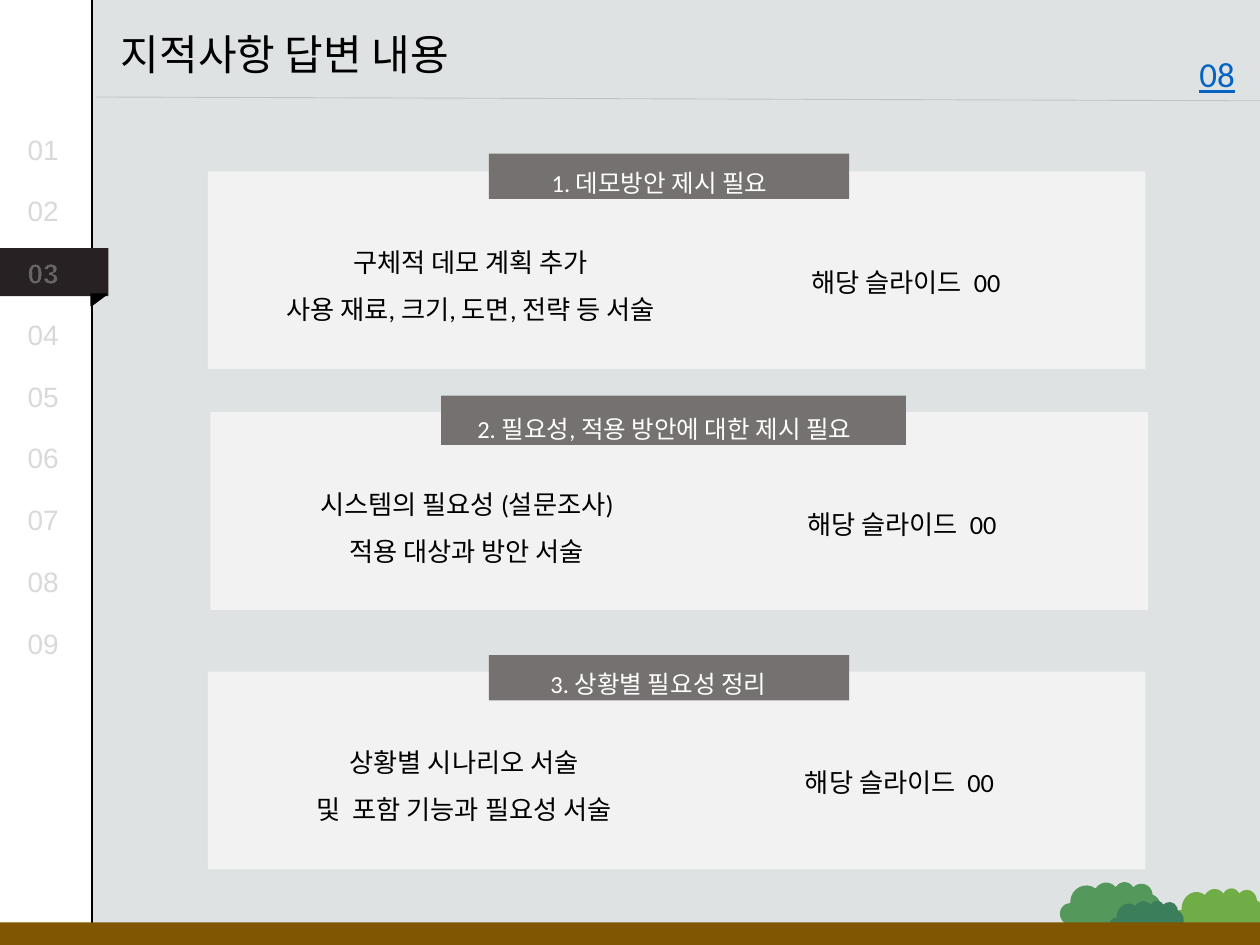
from lxml.etree import SubElement
from pptx import Presentation
from pptx.dml.color import RGBColor
from pptx.enum.shapes import MSO_CONNECTOR, MSO_SHAPE
from pptx.enum.text import MSO_ANCHOR, MSO_AUTO_SIZE, PP_ALIGN
from pptx.oxml.ns import qn
from pptx.util import Inches, Pt

BODY = {"size": Pt(15), "name": "Calibri"}
HEADING = {"size": Pt(14), "name": "Calibri"}
NUMBER = {"size": Pt(16), "name": "Arial"}

# Card corner, heading bar, heading text, heading, details, details corner, reference corner
CARDS = [
    ((1.65, 1.36), (3.88, 1.22, 2.86, 0.36), (4.28, 1.05, 2.06, 0.57),
     "1. 데모방안 제시 필요",
     ["구체적 데모 계획 추가", "사용 재료, 크기, 도면, 전략 등 서술"],
     (1.86, 1.78), (6.34, 1.94)),
    ((1.67, 3.27), (3.5, 3.14, 3.69, 0.39), (3.69, 3, 3.44, 0.57),
     "2. 필요성, 적용 방안에 대한 제시 필요",
     ["시스템의 필요성 (설문조사)", "적용 대상과 방안 서술"],
     (1.83, 3.7), (6.31, 3.86)),
    ((1.65, 5.33), (3.88, 5.2, 2.86, 0.36), (4.27, 5.03, 2.09, 0.57),
     "3. 상황별 필요성 정리",
     ["상황별 시나리오 서술", "및  포함 기능과 필요성 서술"],
     (1.81, 5.75), (6.29, 5.91)),
]


def color(hex_code):
    return RGBColor.from_string(hex_code)


def add_alpha(fill_parent, percent):
    """Make the solid fill inside an XML element partly transparent."""
    tone = fill_parent.find(".//" + qn("a:srgbClr"))
    SubElement(tone, qn("a:alpha"), val=str(percent * 1000))


def add_outline(span):
    """Give the letters a thin, faint outline."""
    properties = span.font._element
    outline = SubElement(properties, qn("a:ln"), w=str(Pt(0.75)))
    properties.insert(0, outline)
    fill = SubElement(outline, qn("a:solidFill"))
    SubElement(fill, qn("a:srgbClr"), val="000000")
    add_alpha(outline, 30)


def add_block(page, kind, box, fill, line=None, rotation=0):
    block = page.shapes.add_shape(kind, *map(Inches, box))
    block.shadow.inherit = False
    block.rotation = rotation
    block.fill.solid()
    block.fill.fore_color.rgb = color(fill)
    if line:
        block.line.color.rgb = color(line)
        block.line.width = Pt(1)
    else:
        block.line.fill.background()
    return block


def write(frame, lines, style, tone, align=PP_ALIGN.LEFT, spacing=None):
    """Fill a text frame and return its runs."""
    frame.word_wrap = True
    frame.vertical_anchor = MSO_ANCHOR.TOP
    spans = []
    for index, line in enumerate(lines):
        para = frame.add_paragraph() if index else frame.paragraphs[0]
        para.alignment = align
        para.line_spacing = spacing
        span = para.add_run()
        span.text = line
        for key, value in style.items():
            setattr(span.font, key, value)
        span.font.color.rgb = color(tone)
        spans.append(span)
    return spans


def add_text(page, box, lines, style, tone="000000", **layout):
    frame = page.shapes.add_textbox(*map(Inches, box)).text_frame
    frame.auto_size = MSO_AUTO_SIZE.SHAPE_TO_FIT_TEXT
    return write(frame, lines, style, tone, **layout)


def add_sidebar(page, box, current=3):
    left, top, width, height = box
    add_block(page, MSO_SHAPE.RECTANGLE, box, "FFFFFF", "000000")
    # Marker of the current section, with its fold
    add_block(page, MSO_SHAPE.RECTANGLE, (left - 0.01, top + 1.98, width + 0.14, 0.38), "272123")
    add_block(page, MSO_SHAPE.RIGHT_TRIANGLE, (left + 0.78, top + 2.33, 0.09, 0.12),
              "000000", "000000", rotation=90)
    # Section numbers
    for number in range(1, 10):
        active = number == current
        spot = (left + 0.16, top + 1.01 + 0.49 * (number - 1), 0.49, 0.37)
        span = add_text(page, spot, [f"{number:02}"], {**NUMBER, "bold": active},
                        "FFFFFF" if active else "D9D9D9")[0]
        add_outline(span)


def add_header(page, box):
    left, top, width, height = box
    title = page.shapes.title
    spot = (left + 0.1, top + 0.18, 3.69, 0.5)
    for key, value in zip(("left", "top", "width", "height"), spot):
        setattr(title, key, Inches(value))
    write(title.text_frame, ["지적사항 답변 내용"],
          {"size": Pt(24), "name": "Calibri"}, "000000")
    # Rule under the title
    rule = page.shapes.add_connector(
        MSO_CONNECTOR.STRAIGHT, Inches(left + width), Inches(top + height),
        Inches(left), Inches(top + height - 0.03))
    rule.line.color.rgb = color("A6A6A6")
    rule.line.width = Pt(0.5)
    add_alpha(rule._element.spPr, 50)
    SubElement(rule._element.spPr, qn("a:effectLst"))
    # Page number
    add_text(page, (left + width - 0.58, top + 0.37, 0.54, 0.44), ["08"],
             {"size": Pt(20), "name": "Calibri", "underline": True}, "0563C1")


def add_card(page, corner, bar, heading_box, heading, details, details_at, reference_at):
    add_block(page, MSO_SHAPE.RECTANGLE, (*corner, 7.44, 1.57), "F2F2F2")
    add_text(page, (*reference_at, 2.46, 0.44), ["해당 슬라이드  00"], BODY, spacing=1.5)
    add_text(page, (*details_at, 3.75, 0.86), details, BODY,
             align=PP_ALIGN.CENTER, spacing=1.5)
    add_block(page, MSO_SHAPE.RECTANGLE, bar, "767171")
    add_text(page, heading_box, [heading], HEADING, "FFFFFF", spacing=2.0)


def add_ground(page, box):
    left, top, width, height = box
    bushes = [((9.3, -0.28, 0.74, 0.62), "70AD47"),
              ((8.41, -0.33, 0.81, 0.62), "54985B"),
              ((8.8, -0.18, 0.6, 0.49), "3B7E5B")]
    for (x, y, wide, high), fill in bushes:
        add_block(page, MSO_SHAPE.CLOUD, (left + x, top + y, wide, high), fill, rotation=5.4)
    add_block(page, MSO_SHAPE.RECTANGLE, box, "805602")


def main():
    deck = Presentation()
    deck.slide_width, deck.slide_height = Inches(10), Inches(7.5)
    page = deck.slides.add_slide(deck.slide_layouts[5])
    page.background.fill.solid()
    page.background.fill.fore_color.rgb = color("DEE2E2")

    add_sidebar(page, (-0.04, -0.01, 0.77, 7.5))
    add_header(page, (0.76, 0, 9.24, 0.8))
    add_ground(page, (0, 7.32, 10, 0.18))
    for card in CARDS:
        add_card(page, *card)
    deck.save("out.pptx")


if __name__ == "__main__":
    main()
